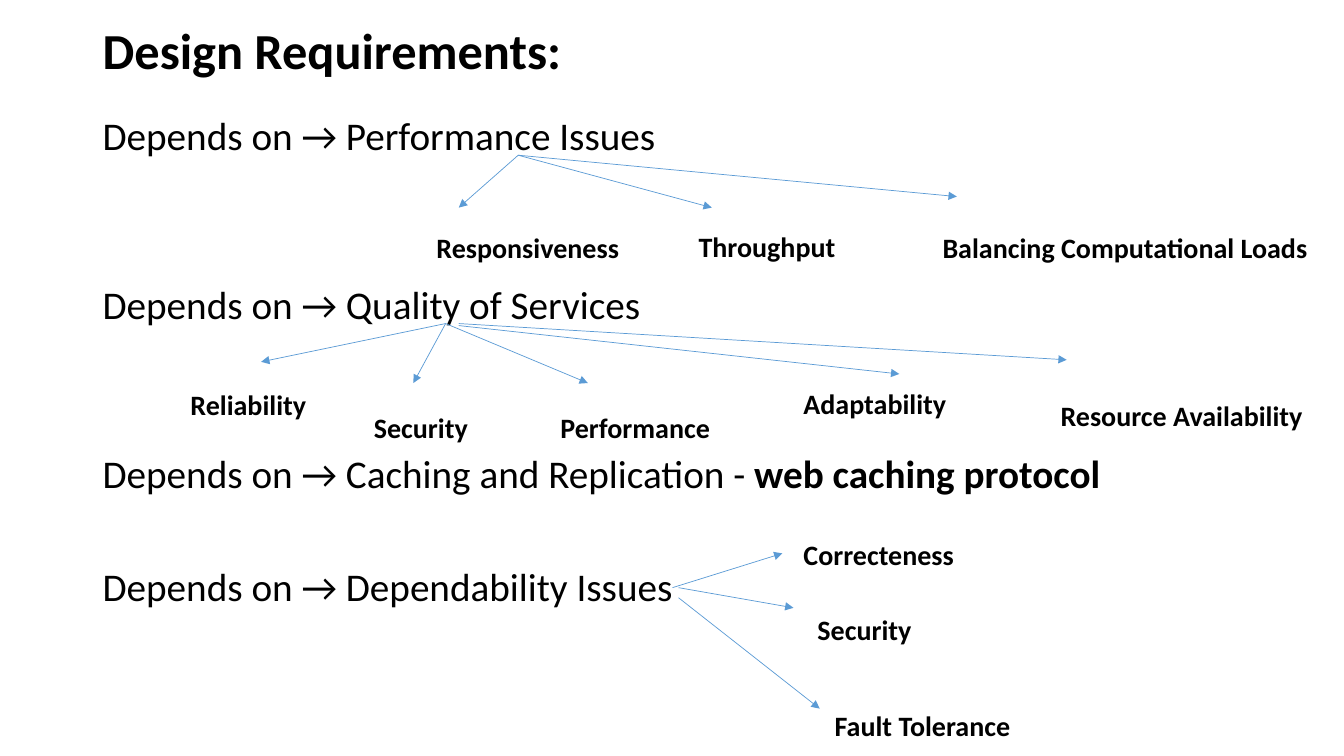
from pptx import Presentation
from pptx.dml.color import RGBColor as RGB
from pptx.enum.shapes import MSO_CONNECTOR as Connector
from pptx.enum.text import MSO_ANCHOR as Anchor, MSO_AUTO_SIZE as AutoSize
from pptx.oxml.ns import qn
from pptx.util import Inches, Pt
from lxml.etree import SubElement

HEADING = ("Design Requirements:", (0.92, 0.4, 11.5, 0.25))
REQUIREMENTS_AREA = (0.92, 1.11, 11.5, 5.64)

# lines left free above, plain wording, bold wording
REQUIREMENTS = [
    (0, "Depends on → Performance Issues", ""),
    (2, "Depends on → Quality of Services", ""),
    (2, "Depends on → Caching and Replication - ", "web caching protocol"),
    (1, "Depends on → Dependability Issues", ""),
]

# wording, left, top, width, arrow start, arrow end
ASPECTS = [
    ("Responsiveness", 4.23, 2.24, 2.03, (5.14, 1.54), (4.55, 2.06)),
    ("Throughput", 6.83, 2.23, 1.57, (5.14, 1.54), (7.06, 2.06)),
    ("Balancing Computational Loads", 9.25, 2.24, 3.86, (5.14, 1.54), (9.49, 1.95)),
    ("Reliability", 1.79, 3.8, 1.36, (4.42, 3.21), (2.59, 3.59)),
    ("Security", 3.61, 4.02, 1.14, (4.42, 3.21), (4.1, 3.8)),
    ("Performance", 5.46, 4.02, 1.7, (4.42, 3.21), (5.83, 3.8)),
    ("Adaptability", 7.87, 3.79, 1.92, (4.55, 3.23), (8.92, 3.71)),
    ("Resource Availability", 10.42, 3.9, 2.62, (4.55, 3.21), (10.58, 3.57)),
    ("Correcteness", 7.87, 5.28, 1.71, (6.67, 5.83), (7.76, 5.49)),
    ("Security", 8.01, 6.03, 1.14, (6.73, 5.83), (7.87, 6.03)),
    ("Fault Tolerance", 8.18, 6.98, 1.96, (6.73, 5.93), (8.13, 7.03)),
]

THEME = {
    "font": "Calibri",
    "ink": RGB.from_string("000000"),
    "arrow": RGB.from_string("5B9BD5"),
    "arrow_width": Pt(0.5),
    "heading": Pt(36),
    "requirement": Pt(28),
    "aspect": Pt(20),
    "line_spacing": 0.9,
    "gap": 10,
    "line_pitch": 40.25,
    "aspect_height": 0.44,
}


def apply(target, values):
    for name, value in values.items():
        setattr(target, name, value)


def add_frame(slide, area, **values):
    frame = slide.shapes.add_textbox(*map(Inches, area)).text_frame
    apply(frame, {"word_wrap": True, **values})
    return frame


def add_wording(paragraph, wording, role, bold):
    run = paragraph.add_run()
    run.text = wording
    apply(run.font, {"name": THEME["font"], "size": THEME[role], "bold": bold})
    run.font.color.rgb = THEME["ink"]


def add_heading(slide):
    wording, area = HEADING
    paragraph = add_frame(slide, area, vertical_anchor=Anchor.MIDDLE).paragraphs[0]
    paragraph.line_spacing = THEME["line_spacing"]
    add_wording(paragraph, wording, "heading", True)


def add_requirements(slide):
    frame = add_frame(slide, REQUIREMENTS_AREA)
    for index, (free_lines, plain, strong) in enumerate(REQUIREMENTS):
        paragraph = frame.add_paragraph() if index else frame.paragraphs[0]
        space = THEME["gap"] + free_lines * THEME["line_pitch"] if index else 0
        apply(paragraph, {"line_spacing": THEME["line_spacing"], "space_before": Pt(space)})
        add_wording(paragraph, plain, "requirement", False)
        if strong:
            add_wording(paragraph, strong, "requirement", True)


def add_arrow(slide, start, end):
    arrow = slide.shapes.add_connector(Connector.STRAIGHT, *map(Inches, start + end))
    arrow.line.width = THEME["arrow_width"]
    arrow.line.color.rgb = THEME["arrow"]
    properties = arrow.line._get_or_add_ln()
    SubElement(properties, qn("a:tailEnd"), type="triangle")
    SubElement(properties.getparent(), qn("a:effectLst"))


def add_aspect(slide, wording, left, top, width, start, end):
    add_arrow(slide, start, end)
    area = (left, top, width, THEME["aspect_height"])
    frame = add_frame(slide, area, auto_size=AutoSize.SHAPE_TO_FIT_TEXT)
    add_wording(frame.paragraphs[0], wording, "aspect", True)


def main():
    deck = Presentation()
    apply(deck, {"slide_width": Inches(13.33), "slide_height": Inches(7.5)})
    slide = deck.slides.add_slide(deck.slide_layouts[6])
    add_heading(slide)
    add_requirements(slide)
    for aspect in ASPECTS:
        add_aspect(slide, *aspect)
    deck.save("out.pptx")


if __name__ == "__main__":
    main()
